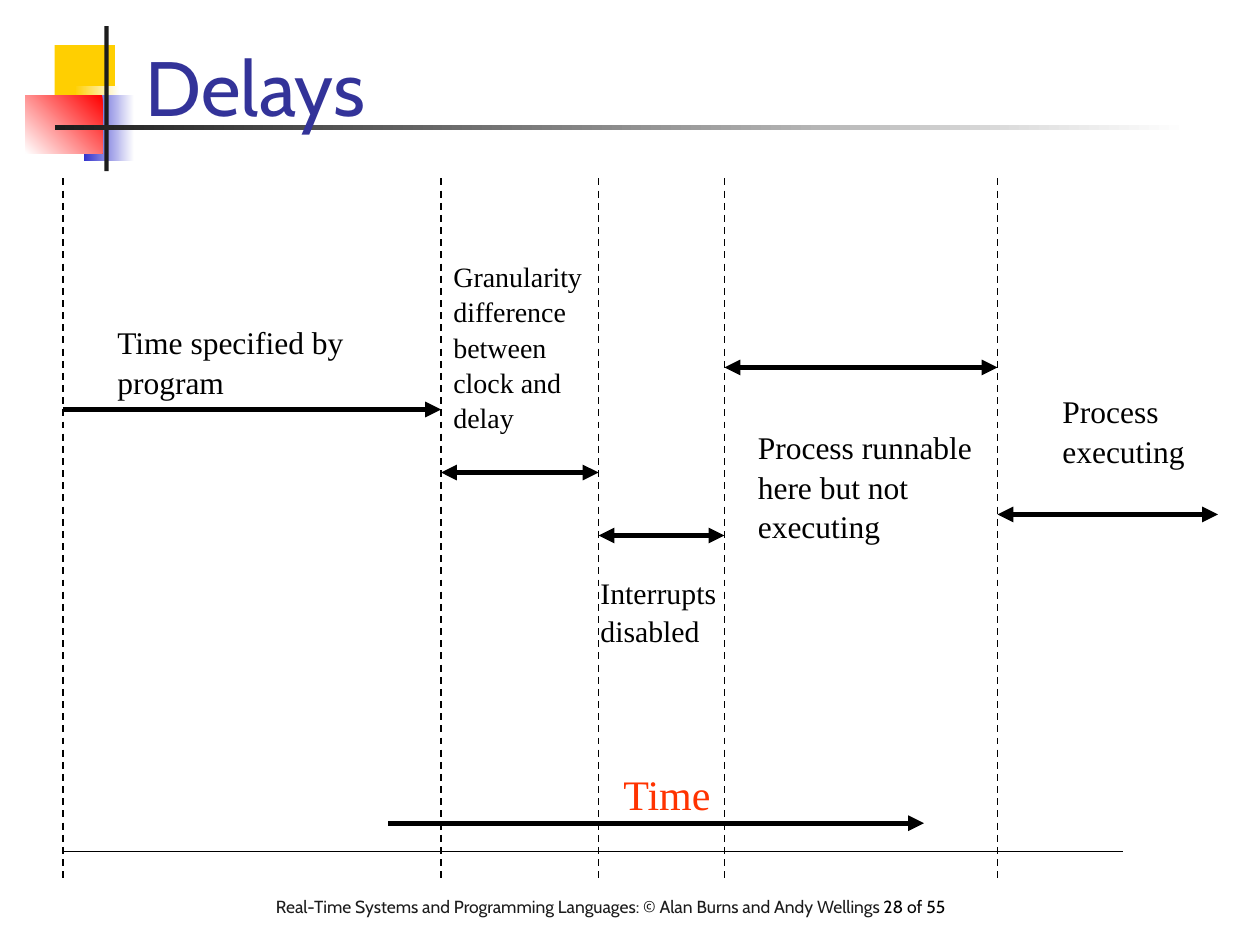
import pptx
import pptx.dml.color
import pptx.enum.dml
import pptx.enum.shapes
import pptx.enum.text
import pptx.oxml
import pptx.oxml.ns
import pptx.util


class Theme:
    ink, dark, white = "000000", "1C1C1C", "FFFFFF"
    gold, blue, red = "FFCF01", "3333CC", "FF0000"
    head, time = "333399", "FF3300"
    sans, serif = "Cabin", "Times New Roman"
    title, axis, body, mid, small, foot = 44, 24, 18, 17, 16, 10
    bold, thin, hair = 3, 1, 0.25


rgb = pptx.dml.color.RGBColor.from_string
fit = pptx.enum.text.MSO_AUTO_SIZE
rect = pptx.enum.shapes.MSO_SHAPE.RECTANGLE
straight = pptx.enum.shapes.MSO_CONNECTOR.STRAIGHT

# Slide on a grid of 120 columns by 90 rows, twelve cells to the inch
deck = pptx.Presentation()
cell = pptx.util.Inches(1) // 12
deck.slide_width, deck.slide_height = 120 * cell, 90 * cell
slide = deck.slides.add_slide(deck.slide_layouts[5])
shapes = slide.shapes


def write(box, runs, size, font, space=1.0):
    par = box.text_frame.paragraphs[0]
    par.alignment = pptx.enum.text.PP_ALIGN.LEFT
    par.line_spacing = space
    for text, color in runs:
        run = par.add_run()
        run.text = text
        run.font.size = pptx.util.Pt(size)
        run.font.name = font
        run.font.color.rgb = rgb(color)


def draw(x1, y1, x2, y2, width, ends=(), dash=False):
    line = shapes.add_connector(straight, *(int(n * cell) for n in (x1, y1, x2, y2)))
    line.line.color.rgb = rgb(Theme.ink)
    line.line.width = pptx.util.Pt(width)
    if dash:
        line.line.dash_style = pptx.enum.dml.MSO_LINE.DASH
    props = line._element.spPr
    for end in ends:
        tip = pptx.oxml.parse_xml(
            f'<a:{end} {pptx.oxml.ns.nsdecls("a")} type="triangle"/>')
        line.line._get_or_add_ln().append(tip)
    props.append(pptx.oxml.parse_xml(f'<a:effectLst {pptx.oxml.ns.nsdecls("a")}/>'))


# Corner ornament: place, colours from start to end, gradient angle
blocks = [
    (5.2, 4.3, 5.75, 6.2, [Theme.gold], 0),
    (7.1, 8.2, 4.3, 6.2, [Theme.white, Theme.gold], 180),
    (8, 9.1, 4.8, 6.2, [Theme.white, Theme.blue], 180),
    (2.4, 9.1, 7.35, 5.5, [Theme.red, Theme.white], 225),
    (9.95, 2.5, 0.4, 13.8, [Theme.dark], 0),
    (5.2, 11.9, 108, 0.45, [Theme.white, Theme.dark], 180),
]
for *place, colors, angle in blocks:
    block = shapes.add_shape(rect, *(int(n * cell) for n in place))
    block.shadow.inherit = False
    block.line.fill.background()
    if len(colors) == 1:
        block.fill.solid()
        block.fill.fore_color.rgb = rgb(colors[0])
    else:
        block.fill.gradient()
        block.fill.gradient_angle = angle
        for stop, color in zip(block.fill.gradient_stops, colors):
            stop.color.rgb = rgb(color)

# Title, brought in front of the ornament
title = shapes.title
title.left, title.top, title.width, title.height = (
    int(n * cell) for n in (12.7, 1.6, 102.2, 11.6))
title.text_frame.auto_size = fit.NONE
title.text_frame.vertical_anchor = pptx.enum.text.MSO_ANCHOR.BOTTOM
write(title, [("Delays", Theme.head)], Theme.title, Theme.sans)
shapes._spTree.append(title._element)

# Phase borders and base line
marks = [6, 42, 57, 69, 95]
for x in marks:
    draw(x, 17, x, 84, Theme.thin, dash=True)
draw(6, 81.1, 107, 81.1, Theme.hair)

# Phase spans, each from one border to the next
both = ("headEnd", "tailEnd")
rows = [39, 45, 51, 35, 49]
for i, (x, right, y) in enumerate(zip(marks, marks[1:] + [116], rows)):
    draw(x, y, right, y, Theme.bold, both if i else both[1:])

# Time axis
draw(37, 78.4, 88, 78.4, Theme.bold, both[1:])

# Labels and footer
labels = [
    (10, 30, 30, 8.4, [("Time specified by program", Theme.ink)], Theme.body),
    (42, 24, 15, 17.3, [("Granularity difference between clock and delay", Theme.ink)],
     Theme.small),
    (56, 54, 14, 8, [("Interrupts disabled", Theme.ink)], Theme.mid),
    (71, 40, 24, 12, [("Process runnable here but not executing", Theme.ink)],
     Theme.body),
    (100, 36.6, 14.2, 8.4, [("Process executing", Theme.ink)], Theme.body),
    (58.2, 72.4, 10.8, 6, [("Time", Theme.time)], Theme.axis),
    (25.1, 84.7, 72.7, 5.3,
     [("Real-Time Systems and Programming Languages: © Alan Burns and Andy Wellings ",
       Theme.dark), ("28 of 55", Theme.ink)], Theme.foot),
]
for *place, runs, size in labels:
    label = shapes.add_textbox(*(int(n * cell) for n in place))
    label.text_frame.word_wrap = size != Theme.axis
    label.text_frame.auto_size = fit.SHAPE_TO_FIT_TEXT
    if size == Theme.foot:
        write(label, runs, size, Theme.sans)
    else:
        write(label, runs, size, Theme.serif, 1.05)

deck.save("out.pptx")
